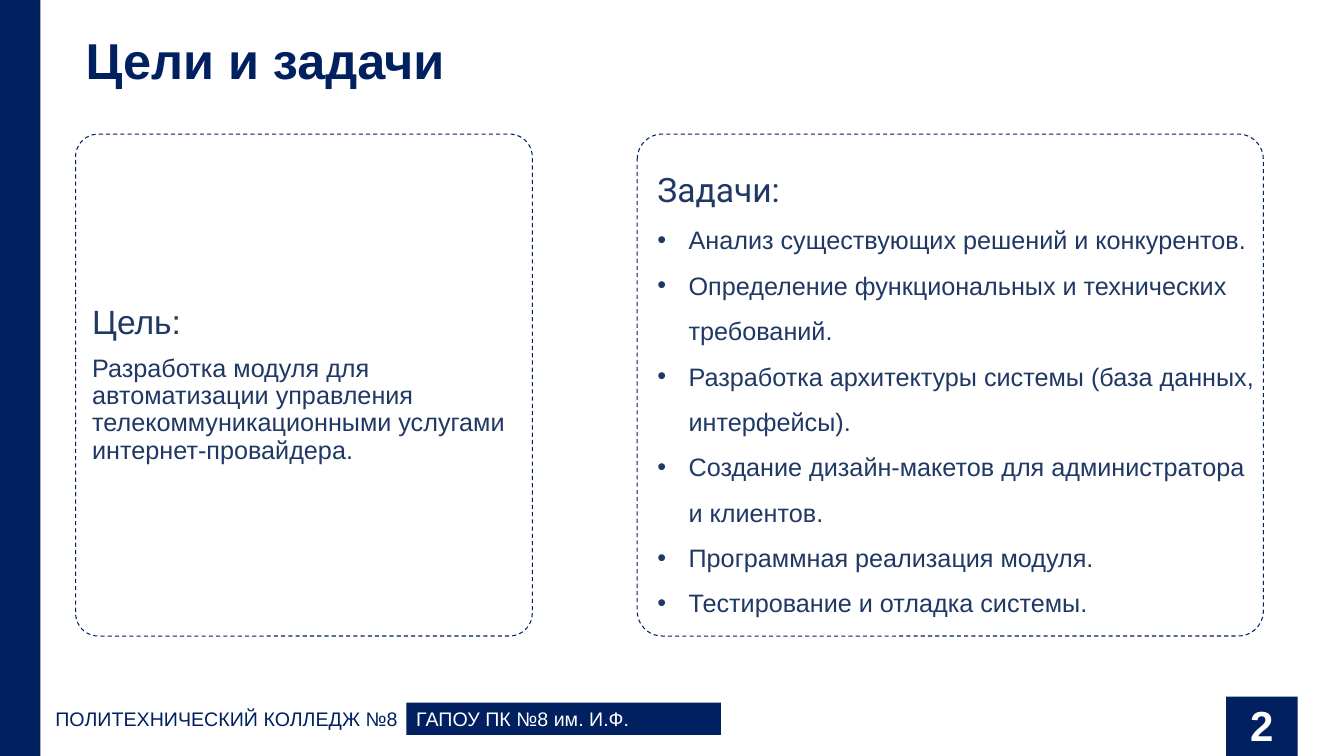
from dataclasses import dataclass

from lxml import etree
from pptx import Presentation
from pptx.dml.color import RGBColor
from pptx.enum.dml import MSO_LINE_DASH_STYLE as Dash
from pptx.enum.shapes import MSO_SHAPE as Shape
from pptx.enum.text import MSO_ANCHOR as Anchor, MSO_AUTO_SIZE as AutoSize, PP_ALIGN as Align
from pptx.oxml.ns import qn
from pptx.util import Inches, Pt


@dataclass(frozen=True)
class Theme:
    navy: RGBColor = RGBColor(0x00, 0x20, 0x60)
    ink: RGBColor = RGBColor(0x20, 0x38, 0x64)
    white: RGBColor = RGBColor(0xFF, 0xFF, 0xFF)
    font: str = "Arial"
    tasks_font: str = "Roboto"
    title: int = 36
    number: int = 30
    heading: int = 24
    body: int = 18
    footer: int = 14


TASKS = [
    "Анализ существующих решений и конкурентов.",
    "Определение функциональных и технических требований.",
    "Разработка архитектуры системы (база данных, интерфейсы).",
    "Создание дизайн-макетов для администратора и клиентов.",
    "Программная реализация модуля.",
    "Тестирование и отладка системы.",
]
GOAL = ("Разработка модуля для автоматизации управления "
        "телекоммуникационными услугами интернет-провайдера.")
FRAME_TOP, FRAME_HEIGHT = 1.33, 4.98


class SlideBuilder:
    def __init__(self, page, theme):
        self.page = page
        self.theme = theme

    def place(self, box, left, top, width, height):
        box.left, box.top = Inches(left), Inches(top)
        box.width, box.height = Inches(width), Inches(height)

    def prepare(self, box, anchor):
        frame = box.text_frame
        frame.word_wrap = True
        frame.auto_size = AutoSize.NONE
        frame.vertical_anchor = anchor
        return frame

    def style(self, para, size, color, font=None, bold=False,
              align=Align.LEFT, spacing=0.9, before=0):
        para.alignment = align
        para.line_spacing = spacing
        para.space_before = Pt(before)
        for span in para.runs:
            span.font.name = font or self.theme.font
            span.font.size = Pt(size)
            span.font.bold = bold
            span.font.color.rgb = color

    def bullet(self, para, mark=None, indent=0):
        """Set the bullet and hanging indent, or remove both."""
        props = para._p.get_or_add_pPr()
        props.set("marL", str(Inches(indent)))
        props.set("indent", str(-Inches(indent)))
        if mark:
            etree.SubElement(props, qn("a:buFont")).set("typeface", self.theme.font)
            etree.SubElement(props, qn("a:buChar")).set("char", mark)
        else:
            etree.SubElement(props, qn("a:buNone"))

    def title(self, text, *area):
        box = self.page.shapes.title
        self.place(box, *area)
        frame = self.prepare(box, Anchor.MIDDLE)
        frame.text = text
        self.style(frame.paragraphs[0], self.theme.title, self.theme.navy, bold=True)

    def task_list(self, heading, tasks, *area):
        box = self.page.placeholders[1]
        self.place(box, *area)
        frame = self.prepare(box, Anchor.TOP)
        frame.text = "\n".join([heading, *tasks])
        first, *items = frame.paragraphs
        self.style(first, self.theme.heading, self.theme.ink,
                   font=self.theme.tasks_font, spacing=1.0)
        self.bullet(first)
        for para in items:
            self.style(para, self.theme.body, self.theme.ink, spacing=1.5)
            self.bullet(para, "•", 0.31)

    def block(self, *area):
        box = self.page.shapes.add_shape(Shape.RECTANGLE, *map(Inches, area))
        box.shadow.inherit = False
        box.fill.solid()
        box.fill.fore_color.rgb = self.theme.navy
        box.line.fill.background()
        return box

    def dashed_frame(self, *area):
        box = self.page.shapes.add_shape(Shape.ROUNDED_RECTANGLE, *map(Inches, area))
        box.adjustments[0] = 0.05
        box.shadow.inherit = False
        box.fill.background()
        box.line.color.rgb = self.theme.navy
        box.line.width = Pt(0.75)
        box.line.dash_style = Dash.DASH
        return box

    def goal(self, box, heading, text):
        frame = self.prepare(box, Anchor.MIDDLE)
        frame.text = f"{heading}\n{text}"
        for para, size in zip(frame.paragraphs, (self.theme.heading, self.theme.body)):
            self.style(para, size, self.theme.ink, before=10)

    def label(self, box, text, size, color, anchor=Anchor.MIDDLE, **look):
        """Write one line of text into a box."""
        frame = self.prepare(box, anchor)
        frame.text = text
        self.style(frame.paragraphs[0], size, color, **look)
        return frame

    def footer(self, text, *area):
        box = self.page.shapes.add_textbox(*map(Inches, area))
        frame = self.label(box, text, self.theme.footer, self.theme.navy)
        frame.margin_left = frame.margin_right = Inches(0.05)


def main():
    deck = Presentation()
    deck.slide_width, deck.slide_height = Inches(13.33), Inches(7.5)
    theme = Theme()
    slide = SlideBuilder(deck.slides.add_slide(deck.slide_layouts[1]), theme)

    slide.title("Цели и задачи", 0.75, 0.35, 11.13, 0.55)
    goal_frame = slide.dashed_frame(0.75, FRAME_TOP, 4.53, FRAME_HEIGHT)
    slide.goal(goal_frame, "Цель:", GOAL)
    slide.task_list("Задачи:", TASKS, 6.42, 1.63, 6.12, 4.54)
    slide.dashed_frame(6.32, FRAME_TOP, 6.21, FRAME_HEIGHT)

    slide.label(slide.block(12.16, 6.91, 0.71, 0.59), "2", theme.number, theme.white,
                anchor=Anchor.BOTTOM, bold=True, align=Align.CENTER)
    slide.footer("ПОЛИТЕХНИЧЕСКИЙ КОЛЛЕДЖ №8", 0.5, 6.73, 3.76, 0.82)
    slide.label(slide.block(4.03, 6.97, 3.12, 0.32), "ГАПОУ ПК №8 им. И.Ф.",
                theme.footer, theme.white, spacing=1.0)
    slide.block(0, 0, 0.4, 7.5)

    deck.save("out.pptx")


if __name__ == "__main__":
    main()
